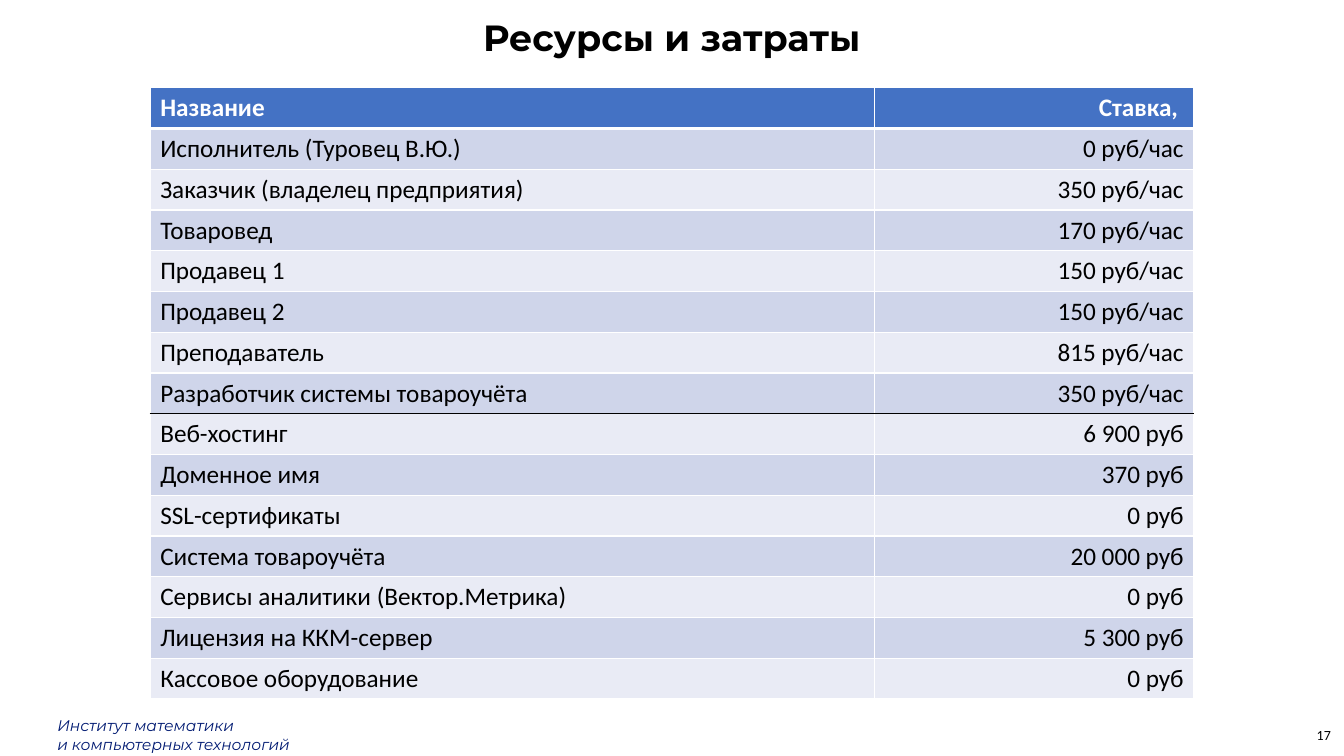
from lxml import etree
from pptx import Presentation
from pptx.dml.color import RGBColor
from pptx.enum.text import MSO_ANCHOR, PP_ALIGN
from pptx.oxml.ns import qn
from pptx.util import Inches, Pt

LEFT, CENTER, RIGHT = PP_ALIGN.LEFT, PP_ALIGN.CENTER, PP_ALIGN.RIGHT
TOP, MIDDLE = MSO_ANCHOR.TOP, MSO_ANCHOR.MIDDLE

TITLE = "Ресурсы и затраты"
FOOTER = ["Институт математики ", "и компьютерных технологий"]
PAGE = "17"
HEADER = ("Название", "Ставка, ")
HOURLY = [
    ("Исполнитель (Туровец В.Ю.)", "0 руб/час"),
    ("Заказчик (владелец предприятия)", "350 руб/час"),
    ("Товаровед", "170 руб/час"),
    ("Продавец 1", "150 руб/час"),
    ("Продавец 2", "150 руб/час"),
    ("Преподаватель", "815 руб/час"),
    ("Разработчик системы товароучёта", "350 руб/час"),
]
ONE_TIME = [
    ("Веб-хостинг", "6 900 руб"),
    ("Доменное имя", "370 руб"),
    ("SSL-сертификаты", "0 руб"),
    ("Система товароучёта", "20 000 руб"),
    ("Сервисы аналитики (Вектор.Метрика)", "0 руб"),
    ("Лицензия на ККМ-сервер", "5 300 руб"),
    ("Кассовое оборудование", "0 руб"),
]
ROWS = [HEADER] + HOURLY + ONE_TIME
COLUMNS = [(7.18, LEFT), (3.17, RIGHT)]
TABLE_LEFT, TABLE_TOP, TABLE_HEIGHT = 1.49, 0.87, 6.07
HEADER_FILL, BANDS = "4472C4", ("E9EBF5", "CFD5EA")
WHITE, BLACK, NAVY = "FFFFFF", "000000", "001A72"
RULES = {1: (WHITE, 3), len(HOURLY) + 1: (BLACK, 1)}


def rgb(value):
    return RGBColor.from_string(value)


def write(tf, lines, size, font, color, align=LEFT, bold=False, italic=False):
    p = tf.paragraphs[0]
    p.alignment = align
    for i, line in enumerate(lines):
        if i:
            p.add_line_break()
        r = p.add_run()
        r.text = line
        r.font.size, r.font.name = Pt(size), font
        r.font.bold, r.font.italic = bold, italic
        r.font.color.rgb = rgb(color)


def add_text(s, box, lines, size, font, color, anchor=TOP, inset=(0.1, 0.05), **style):
    tf = s.shapes.add_textbox(*map(Inches, box)).text_frame
    tf.word_wrap = True
    tf.vertical_anchor = anchor
    tf.margin_left = tf.margin_right = Inches(inset[0])
    tf.margin_top = tf.margin_bottom = Inches(inset[1])
    write(tf, lines, size, font, color, **style)


def add_border(cell, side, color, width):
    ln = etree.SubElement(cell._tc.get_or_add_tcPr(), qn("a:ln" + side), w=str(Pt(width)))
    fill = etree.SubElement(ln, qn("a:solidFill"))
    etree.SubElement(fill, qn("a:srgbClr"), val=color)


def add_costs(s):
    width = sum(w for w, _ in COLUMNS)
    box = map(Inches, (TABLE_LEFT, TABLE_TOP, width, TABLE_HEIGHT))
    table = s.shapes.add_table(len(ROWS), len(COLUMNS), *box).table
    for col, (w, _) in zip(table.columns, COLUMNS):
        col.width = Inches(w)
    for i, row in enumerate(ROWS):
        table.rows[i].height = Inches(TABLE_HEIGHT / len(ROWS))
        head = i == 0
        for j, (text, (_, align)) in enumerate(zip(row, COLUMNS)):
            cell = table.cell(i, j)
            cell.vertical_anchor = MIDDLE
            plain = (WHITE, 1)
            add_border(cell, "L", *plain)
            add_border(cell, "R", *plain)
            add_border(cell, "T", *RULES.get(i, plain))
            add_border(cell, "B", *RULES.get(i + 1, plain))
            cell.fill.solid()
            cell.fill.fore_color.rgb = rgb(HEADER_FILL if head else BANDS[i % 2])
            write(cell.text_frame, [text], 18, "Calibri", WHITE if head else BLACK,
                  align=align, bold=head)


def main():
    """Build the slide of resources and costs."""
    prs = Presentation()
    prs.slide_width, prs.slide_height = Inches(13.33), Inches(7.5)
    s = prs.slides.add_slide(prs.slide_layouts[6])
    add_text(s, (0, 0.05, 13.33, 0.64), [TITLE], 26, "Montserrat", BLACK,
             inset=(0.1, 0.1), align=CENTER, bold=True)
    add_text(s, (12.98, 7.09, 0.34, 0.41), [PAGE], 10, "Calibri", BLACK,
             anchor=MIDDLE, inset=(0.08, 0.04))
    add_text(s, (0.47, 7.06, 6.67, 0.47), FOOTER, 11, "Montserrat", NAVY, italic=True)
    add_costs(s)
    prs.save("out.pptx")


if __name__ == "__main__":
    main()
